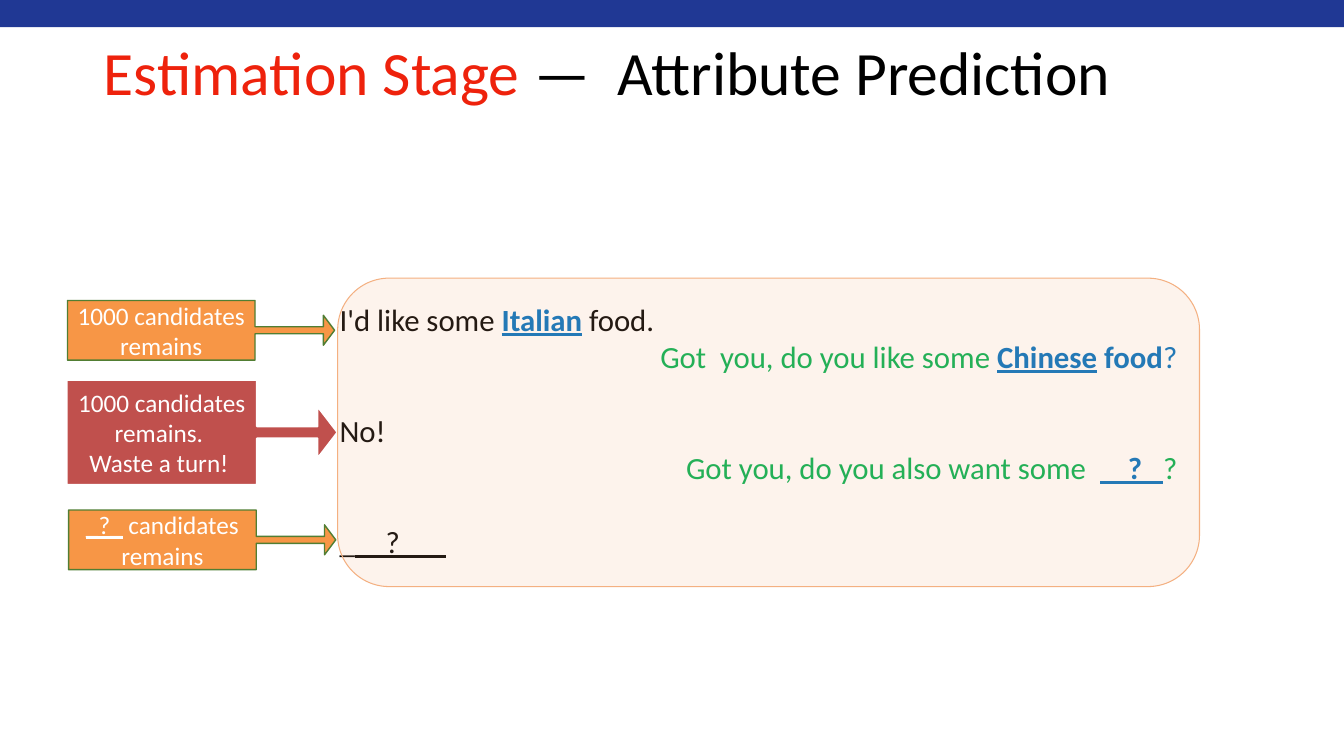
"""Build the slide on attribute prediction in the estimation stage."""
import pptx
import pptx.dml.color
import pptx.enum.shapes
import pptx.enum.text
import pptx.oxml.ns
import pptx.util
from lxml import etree

Pt = pptx.util.Pt
SHAPES = pptx.enum.shapes.MSO_SHAPE
ALIGN = pptx.enum.text.PP_ALIGN
ANCHOR = pptx.enum.text.MSO_ANCHOR

THEME = {
    "font": "Calibri",
    "title": 44, "dialogue": 22, "callout": 18,
    "bar": "203894", "accent": "EE220C", "ink": "000000", "system": "00B050",
    "attribute": "0070C0", "label": "FFFFFF", "panel": "F4B081",
    "normal_fill": "F79646", "normal_line": "517E33",
    "waste_fill": "C0504D", "waste_line": "FFFFFF",
}

PLAIN = {"bold": False, "underline": False}
BOLD = {"bold": True, "underline": False}
LINED = {"bold": False, "underline": True}
SLOT = {"bold": True, "underline": True}

TITLE = [(ALIGN.LEFT, 0, [("Estimation Stage", "accent", PLAIN),
                          (" —  Attribute Prediction", "ink", PLAIN)])]

TURN_GAP = 26.5
DIALOGUE = [
    (ALIGN.LEFT, 0, [("I'd like some ", "ink", PLAIN), ("Italian", "attribute", SLOT),
                     (" food.", "ink", PLAIN)]),
    (ALIGN.RIGHT, 0, [("Got  you, do you like some ", "system", PLAIN),
                      ("Chinese", "attribute", SLOT), (" food", "attribute", BOLD),
                      ("?", "attribute", PLAIN)]),
    (ALIGN.LEFT, TURN_GAP, [("No!", "ink", PLAIN)]),
    (ALIGN.RIGHT, 0, [("Got you, do you also want some  ", "system", PLAIN),
                      ("    ?   ", "attribute", SLOT), ("?", "system", PLAIN)]),
    (ALIGN.LEFT, TURN_GAP, [("_", "ink", PLAIN), ("__?___", "ink", LINED)]),
]

NORMAL_ARROW = {"shaft": 5, "head_length": 8, "head_width": 21.4}
WASTE_ARROW = {"shaft": 8.6, "head_length": 14.4, "head_width": 37.4}
CALLOUTS = [
    {"box": (48.2, 214.6, 134, 42.6), "tip": 239, "arrow": NORMAL_ARROW,
     "style": "normal", "weight": 1,
     "lines": [[("1000 candidates remains", "label", PLAIN)]]},
    {"box": (47.6, 271.4, 136, 75), "tip": 241.2, "arrow": WASTE_ARROW,
     "style": "waste", "weight": 1.5,
     "lines": [[("1000 candidates remains. ", "label", PLAIN)],
               [("Waste a turn! ", "label", PLAIN)]]},
    {"box": (49, 364.3, 134, 42.6), "tip": 239.8, "arrow": NORMAL_ARROW,
     "style": "normal", "weight": 1,
     "lines": [[("_?_", "label", LINED), (" candidates remains", "label", PLAIN)]]},
]


def color(name):
    return pptx.dml.color.RGBColor.from_string(THEME[name])


def paint(shape, fill, line=None, weight=0):
    shape.shadow.inherit = False
    shape.fill.solid()
    shape.fill.fore_color.rgb = color(fill)
    if line:
        shape.line.color.rgb = color(line)
        shape.line.width = Pt(weight)
    else:
        shape.line.fill.background()


def add_text(slide, box, paragraphs, size, anchor, line_spacing=1.0):
    frame = slide.shapes.add_textbox(*map(Pt, box)).text_frame
    layout = {"word_wrap": True, "vertical_anchor": anchor}
    layout.update({f"margin_{side}": Pt(3.6) for side in ("left", "right", "top", "bottom")})
    for key, value in layout.items():
        setattr(frame, key, value)
    for index, (alignment, gap, pieces) in enumerate(paragraphs):
        paragraph = frame.add_paragraph() if index else frame.paragraphs[0]
        spacing = {"alignment": alignment, "space_before": Pt(gap), "line_spacing": line_spacing}
        for key, value in spacing.items():
            setattr(paragraph, key, value)
        for words, ink, emphasis in pieces:
            run = paragraph.add_run()
            run.text = words
            run.font.color.rgb = color(ink)
            face = {"name": THEME["font"], "size": Pt(THEME[size]), **emphasis}
            for key, value in face.items():
                setattr(run.font, key, value)


def add_callout(slide, callout):
    left, top, width, height = callout["box"]
    arrow, tip = callout["arrow"], callout["tip"]
    right, bottom, middle = left + width, top + height, top + height / 2
    neck = tip - arrow["head_length"]
    shaft, head = arrow["shaft"] / 2, arrow["head_width"] / 2
    upper = [(left, top), (right, top), (right, middle - shaft),
             (neck, middle - shaft), (neck, middle - head)]
    lower = [(x, 2 * middle - y) for x, y in reversed(upper)]
    outline = [(Pt(x), Pt(y)) for x, y in upper + [(tip, middle)] + lower]
    builder = slide.shapes.build_freeform(*outline[0])
    builder.add_line_segments(outline[1:], close=True)
    style = callout["style"]
    paint(builder.convert_to_shape(), f"{style}_fill", f"{style}_line", callout["weight"])
    paragraphs = [(ALIGN.CENTER, 0, pieces) for pieces in callout["lines"]]
    add_text(slide, (left, top, width, height), paragraphs, "callout", ANCHOR.MIDDLE)


def add_panel(slide):
    panel = slide.shapes.add_shape(SHAPES.ROUNDED_RECTANGLE, *map(Pt, (241.2, 198.7, 615.6, 220.3)))
    panel.adjustments[0] = 0.167
    paint(panel, "panel", "panel", 0.75)
    tint = panel.fill._xPr.find(".//" + pptx.oxml.ns.qn("a:srgbClr"))
    etree.SubElement(tint, pptx.oxml.ns.qn("a:alpha"), val="15000")


def main():
    deck = pptx.Presentation()
    deck.slide_width, deck.slide_height = Pt(960), Pt(540)
    slide = deck.slides.add_slide(deck.slide_layouts[6])
    bar = slide.shapes.add_shape(SHAPES.RECTANGLE, 0, 0, Pt(960), Pt(19.4))
    paint(bar, "bar")
    add_text(slide, (70.6, 1.4, 828, 104.4), TITLE, "title", ANCHOR.MIDDLE, 0.9)
    add_text(slide, (239, 211, 605.5, 196.6), DIALOGUE, "dialogue", ANCHOR.TOP)
    for callout in CALLOUTS:
        add_callout(slide, callout)
    add_panel(slide)
    deck.save("out.pptx")


if __name__ == "__main__":
    main()
